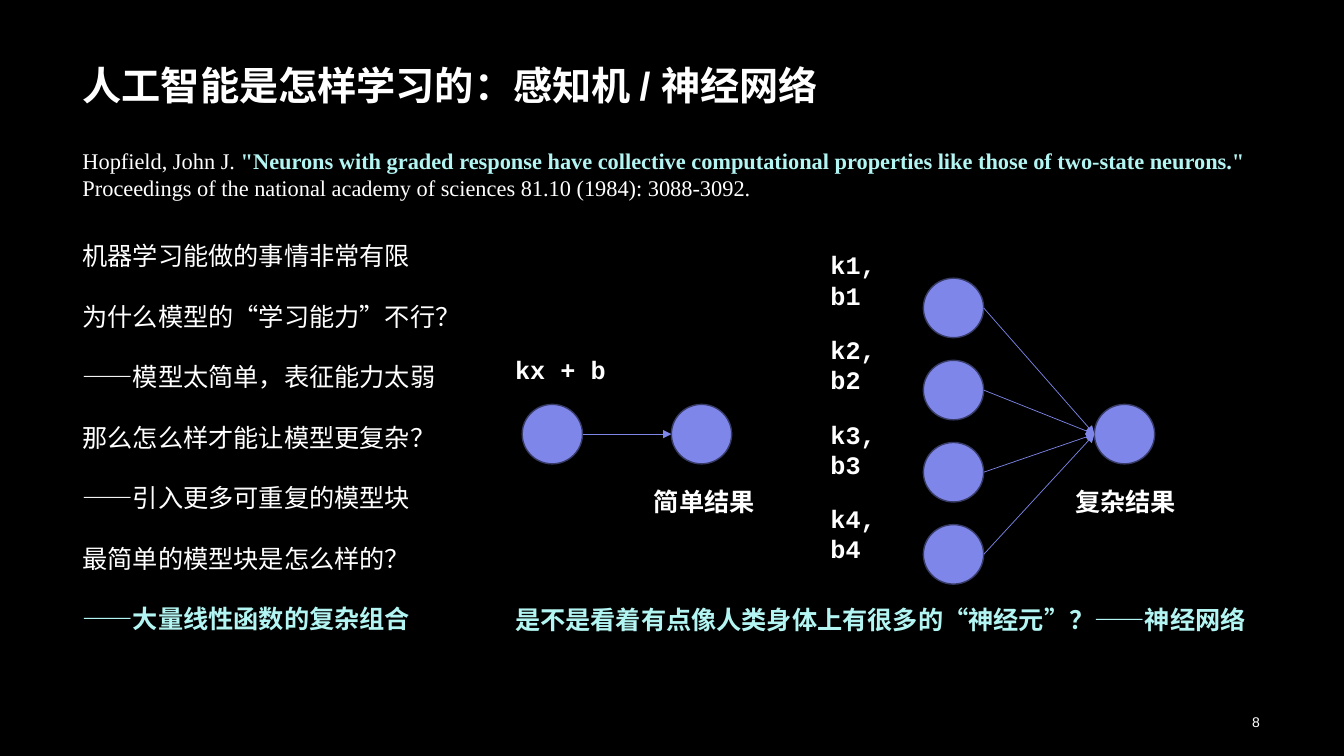
from dataclasses import dataclass

from lxml.etree import SubElement
from pptx import Presentation
from pptx.dml.color import RGBColor
from pptx.enum.shapes import MSO_CONNECTOR, MSO_SHAPE
from pptx.enum.text import MSO_ANCHOR, MSO_AUTO_SIZE, PP_ALIGN
from pptx.oxml.ns import qn
from pptx.util import Cm, Pt


@dataclass(frozen=True)
class Theme:
    background: RGBColor = RGBColor(0x00, 0x00, 0x00)
    text: RGBColor = RGBColor(0xFF, 0xFF, 0xFF)
    accent: RGBColor = RGBColor(0xB3, 0xF5, 0xF2)
    neuron: RGBColor = RGBColor(0x7E, 0x86, 0xE9)
    neuron_edge: RGBColor = RGBColor(0x37, 0x3B, 0x66)
    sans: str = "Arial"
    serif: str = "Times New Roman"
    mono: str = "Courier New"
    title_size: int = 28
    body_size: int = 18
    citation_size: int = 16
    number_size: int = 10
    line_factor: float = 1.2


THEME = Theme()
NEURON_WIDTH, NEURON_HEIGHT = 1.52, 1.5
OUTPUT_TOP = 10.19

TITLE = "人工智能是怎样学习的：感知机 / 神经网络"
CITATION = [
    ("Hopfield, John J. ", False),
    ('"Neurons with graded response have collective computational '
     'properties like those of two-state neurons." ', True),
    ("Proceedings of the national academy of sciences 81.10 (1984): "
     "3088-3092.", False),
]
QUESTIONS = [
    "机器学习能做的事情非常有限",
    "为什么模型的“学习能力”不行？",
    "——模型太简单，表征能力太弱",
    "那么怎么样才能让模型更复杂？",
    "——引入更多可重复的模型块",
    "最简单的模型块是怎么样的？",
    "——大量线性函数的复杂组合",
]
CONCLUSION = "是不是看着有点像人类身体上有很多的“神经元”？——神经网络"


def style_paragraph(paragraph, font_name, size, color=THEME.text, bold=False):
    paragraph.line_spacing = Pt(size * THEME.line_factor)
    font = paragraph.font
    font.name, font.size, font.bold = font_name, Pt(size), bold
    font.color.rgb = color


def add_text_frame(slide, left, top, width, height):
    box = slide.shapes.add_textbox(Cm(left), Cm(top), Cm(width), Cm(height))
    frame = box.text_frame
    frame.word_wrap = True
    frame.auto_size = MSO_AUTO_SIZE.SHAPE_TO_FIT_TEXT
    return frame


def add_label(slide, text, left, top, width, color=THEME.text):
    frame = add_text_frame(slide, left, top, width, 1.02)
    frame.text = text
    style_paragraph(frame.paragraphs[0], THEME.mono, THEME.body_size, color, True)


def set_title(slide):
    title = slide.shapes.title
    title.left, title.top = Cm(1.83), Cm(0.36)
    title.width, title.height = Cm(30.18), Cm(2.49)
    frame = title.text_frame
    frame.text = TITLE
    frame.auto_size = MSO_AUTO_SIZE.NONE
    frame.vertical_anchor = MSO_ANCHOR.BOTTOM
    paragraph = frame.paragraphs[0]
    paragraph.alignment = PP_ALIGN.LEFT
    style_paragraph(paragraph, THEME.sans, THEME.title_size, bold=True)


def add_slide_number(slide, number):
    frame = add_text_frame(slide, 21.84, 17.81, 10.16, 0.76)
    frame.auto_size = MSO_AUTO_SIZE.NONE
    frame.vertical_anchor = MSO_ANCHOR.MIDDLE
    frame.text = str(number)
    paragraph = frame.paragraphs[0]
    paragraph.alignment = PP_ALIGN.RIGHT
    style_paragraph(paragraph, THEME.sans, THEME.number_size)


def add_citation(slide):
    paragraph = add_text_frame(slide, 1.83, 3.58, 30.18, 1.63).paragraphs[0]
    style_paragraph(paragraph, THEME.serif, THEME.citation_size)
    for text, highlighted in CITATION:
        run = paragraph.add_run()
        run.text = text
        if highlighted:
            run.font.bold = True
            run.font.color.rgb = THEME.accent


def add_questions(slide):
    frame = add_text_frame(slide, 1.83, 5.94, 15.09, 10.26)
    frame.text = "\n".join(QUESTIONS)
    for paragraph in frame.paragraphs:
        style_paragraph(paragraph, THEME.sans, THEME.body_size)
    for paragraph in frame.paragraphs[1:]:
        paragraph.space_before = Pt(THEME.body_size * THEME.line_factor)
    answer = frame.paragraphs[-1].font
    answer.bold = True
    answer.color.rgb = THEME.accent


def add_neuron(slide, left, top):
    neuron = slide.shapes.add_shape(
        MSO_SHAPE.OVAL, Cm(left), Cm(top), Cm(NEURON_WIDTH), Cm(NEURON_HEIGHT))
    neuron.shadow.inherit = False
    neuron.fill.solid()
    neuron.fill.fore_color.rgb = THEME.neuron
    neuron.line.color.rgb = THEME.neuron_edge
    neuron.line.width = Pt(1)
    return neuron


def add_arrow(slide, source, target):
    """Draw an arrow from the right of one neuron to the left of another."""
    arrow = slide.shapes.add_connector(
        MSO_CONNECTOR.STRAIGHT,
        source.left + source.width, source.top + source.height // 2,
        target.left, target.top + target.height // 2)
    arrow.line.color.rgb = THEME.neuron
    arrow.line.width = Pt(0.5)
    SubElement(arrow.line._get_or_add_ln(), qn("a:tailEnd"), type="triangle")
    SubElement(arrow._element.spPr, qn("a:effectLst"))


def add_network(slide, inputs, output_left, result, result_left):
    """Draw input neurons, given as (left, top), feeding one output neuron."""
    sources = [add_neuron(slide, left, top) for left, top in inputs]
    output = add_neuron(slide, output_left, OUTPUT_TOP)
    for source in sources:
        add_arrow(slide, source, output)
    add_label(slide, result, result_left, 12.14, 3.3)


def main():
    presentation = Presentation()
    presentation.slide_width, presentation.slide_height = Cm(33.87), Cm(19.05)
    slide = presentation.slides.add_slide(presentation.slide_layouts[5])
    slide.background.fill.solid()
    slide.background.fill.fore_color.rgb = THEME.background

    set_title(slide)
    add_slide_number(slide, 8)
    add_citation(slide)
    add_questions(slide)

    add_label(slide, "kx + b", 12.73, 8.81, 2.97)
    add_network(slide, [(13.16, OUTPUT_TOP)], 16.92, "简单结果", 16.23)

    for index in range(4):
        add_label(slide, f"k{index + 1}, b{index + 1}", 20.68, 6.17 + index * 2.13, 2.62)
    layer = [(23.27, 7.01 + index * 2.07) for index in range(4)]
    add_network(slide, layer, 27.58, "复杂结果", 26.85)

    add_label(slide, CONCLUSION, 12.73, 15.11, 19.51, THEME.accent)
    presentation.save("out.pptx")


if __name__ == "__main__":
    main()
